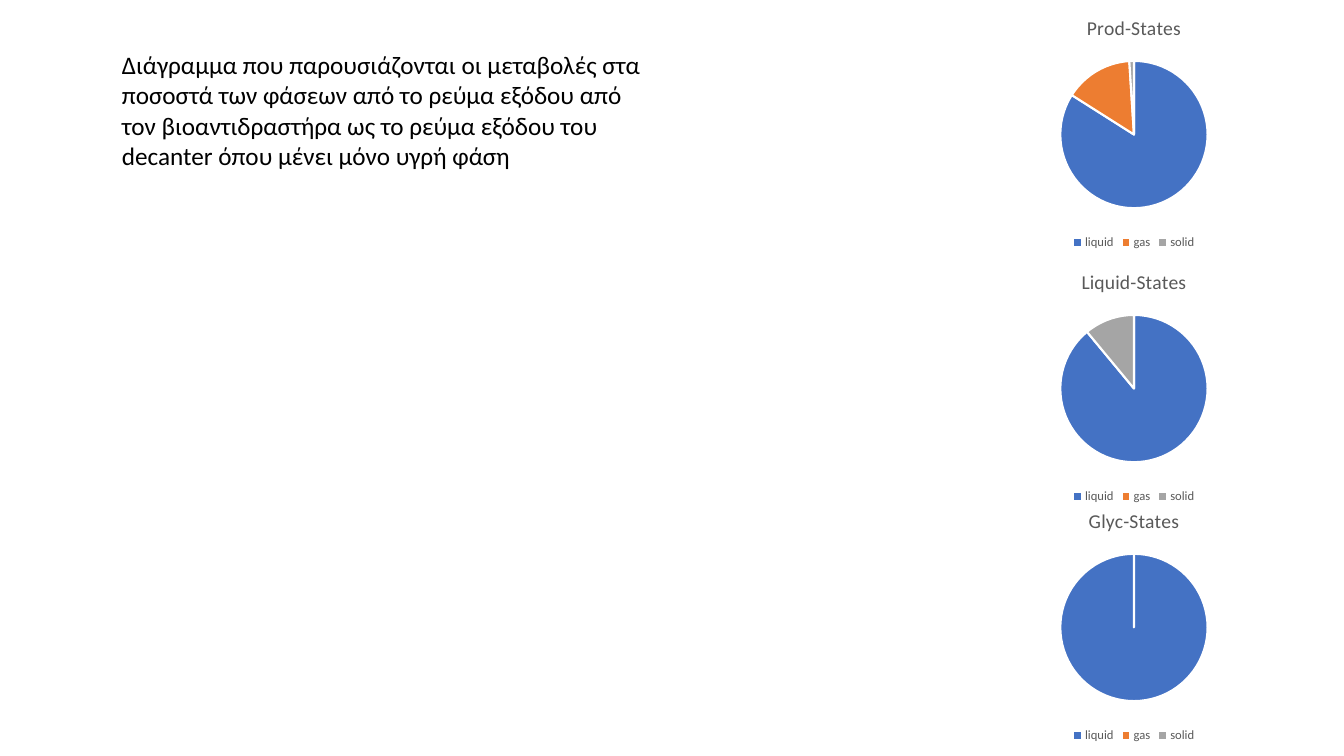
from dataclasses import dataclass

from lxml.etree import SubElement
from pptx import Presentation
from pptx.chart.data import CategoryChartData
from pptx.dml.color import RGBColor
from pptx.enum.chart import XL_CHART_TYPE, XL_LEGEND_POSITION
from pptx.enum.text import MSO_AUTO_SIZE
from pptx.oxml.ns import qn
from pptx.slide import Slide
from pptx.text.text import Font
from pptx.util import Pt

FONT = "Calibri"
GREY = "595959"
PHASES = {"liquid": "4472C4", "gas": "ED7D31", "solid": "A5A5A5"}
CHART_LEFT, CHART_WIDTH, CHART_HEIGHT = 660.24, 299.52, 181.44
PIE_LAYOUT = {"x": 0.32, "y": 0.24, "w": 0.36, "h": 0.58}


@dataclass
class PhaseChart:
    """Phase percentages of one stream."""

    title: str
    top: float
    values: tuple[int, int, int]


PHASE_CHARTS = [
    PhaseChart("Prod-States", 0, (84, 15, 1)),
    PhaseChart("Liquid-States", CHART_HEIGHT, (89, 0, 11)),
    PhaseChart("Glyc-States", 352.08, (100, 0, 0)),
]


def rgb(value: str) -> RGBColor:
    """Turn a hex string into a colour."""
    return RGBColor.from_string(value)


def format_font(font: Font, *, size: float, color: str) -> None:
    """Set typeface, size and colour, without bold."""
    font.name, font.size, font.bold = FONT, Pt(size), False
    font.color.rgb = rgb(color)


def add_text(slide: Slide, text: str, *, left: float, top: float, width: float,
             height: float, size: float, color: str = "000000") -> None:
    """Add a wrapped text box that grows with its text."""
    box = slide.shapes.add_textbox(Pt(left), Pt(top), Pt(width), Pt(height))
    frame = box.text_frame
    frame.word_wrap = True
    frame.auto_size = MSO_AUTO_SIZE.SHAPE_TO_FIT_TEXT
    run = frame.paragraphs[0].add_run()
    run.text = text
    format_font(run.font, size=size, color=color)


def place_pie(plot_area) -> None:
    """Give the pie a fixed place within its chart."""
    layout = plot_area.find(qn("c:layout"))
    if layout is None:
        layout = SubElement(plot_area, qn("c:layout"))
        plot_area.insert(0, layout)
    manual = SubElement(layout, qn("c:manualLayout"))
    settings = {"layoutTarget": "inner", "xMode": "edge", "yMode": "edge"} | PIE_LAYOUT
    for name, value in settings.items():
        SubElement(manual, qn(f"c:{name}")).set("val", str(value))


def add_phase_chart(slide: Slide, phase_chart: PhaseChart) -> None:
    """Add a pie chart with its title and legend."""
    data = CategoryChartData()
    data.categories = list(PHASES)
    data.add_series("Series 1", phase_chart.values)
    chart = slide.shapes.add_chart(
        XL_CHART_TYPE.PIE, Pt(CHART_LEFT), Pt(phase_chart.top),
        Pt(CHART_WIDTH), Pt(CHART_HEIGHT), data).chart
    format_font(chart.font, size=10, color="000000")

    chart.has_title = True
    title_paragraph = chart.chart_title.text_frame.paragraphs[0]
    run = title_paragraph.add_run()
    run.text = phase_chart.title
    format_font(run.font, size=14, color=GREY)
    chart.chart_title.include_in_layout = False

    chart.has_legend = True
    chart.legend.position = XL_LEGEND_POSITION.BOTTOM
    chart.legend.include_in_layout = False
    format_font(chart.legend.font, size=9, color=GREY)

    plot = chart.plots[0]
    plot.vary_by_categories = True
    for index, color in enumerate(PHASES.values()):
        point_format = plot.series[0].points[index].format
        point_format.fill.solid()
        point_format.fill.fore_color.rgb = rgb(color)
        point_format.line.color.rgb = rgb("FFFFFF")
        point_format.line.width = Pt(1.5)
    place_pie(chart.element.chart.plotArea)


presentation = Presentation()
presentation.slide_width, presentation.slide_height = Pt(960), Pt(540)
slide = presentation.slides.add_slide(presentation.slide_layouts[6])
for phase_chart in PHASE_CHARTS:
    add_phase_chart(slide, phase_chart)
add_text(
    slide,
    "Διάγραμμα που παρουσιάζονται οι μεταβολές στα ποσοστά των φάσεων από το ρεύμα "
    "εξόδου από τον βιοαντιδραστήρα ως το ρεύμα εξόδου του decanter όπου μένει μόνο "
    "υγρή φάση",
    left=80, top=31.7, width=391, height=94.3, size=18)
presentation.save("out.pptx")
